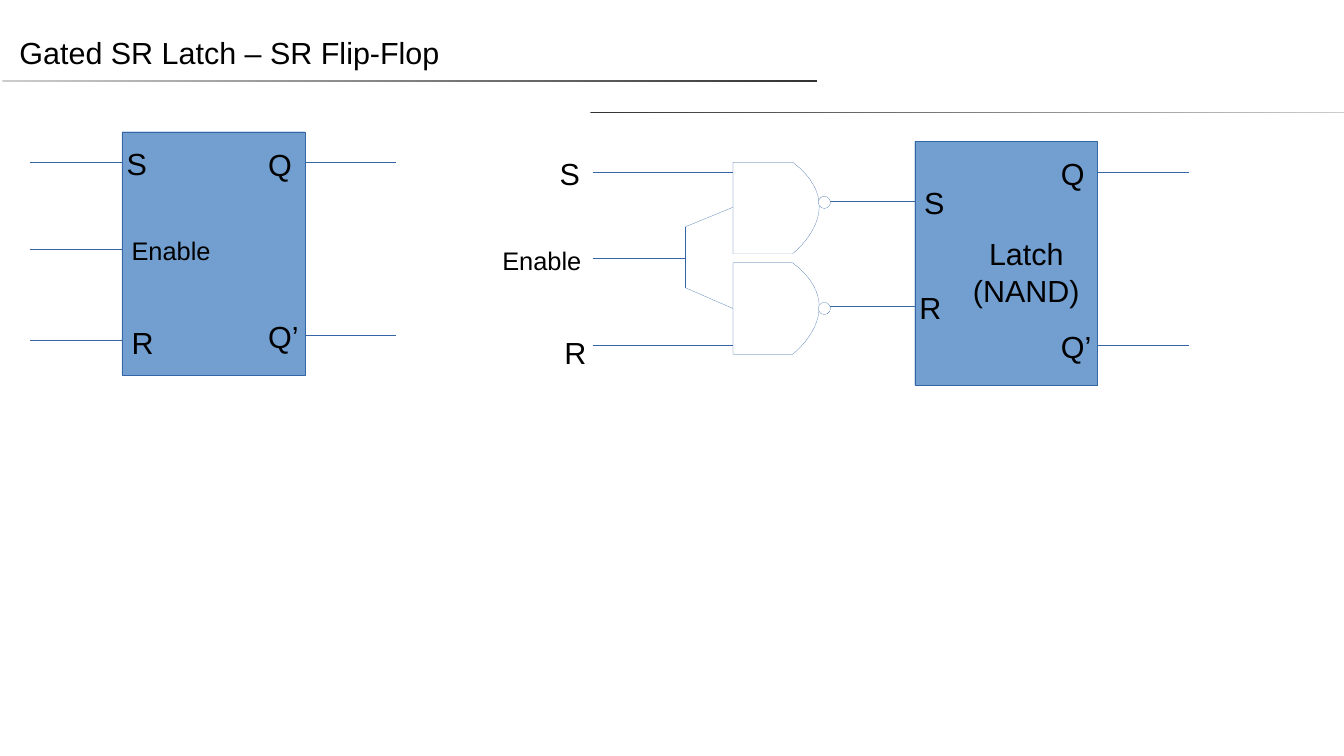
from dataclasses import dataclass

from lxml import etree
from pptx import Presentation
from pptx import util as u
from pptx.dml.color import RGBColor
from pptx.enum import shapes, text
from pptx.oxml.ns import qn

CELL = u.Inches(0.25)  # one column or row of the drawing grid


@dataclass(frozen=True)
class Theme:
    font: str = "Arial"
    ink: str = "000000"
    paper: str = "FFFFFF"
    block: str = "729FCF"
    wire: str = "3465A4"
    rule_dark: str = "333333"
    rule_light: str = "CCCCCC"
    large: int = 18
    small: int = 15
    hairline: float = 0.1


THEME = Theme()
BLOCK_COLS, BLOCK_ROWS = 6, 8
STUB_COLS = 3
TOP_PIN, MIDDLE_PIN, BOTTOM_PIN = 1, 3.84, 6.68
LABEL_COLS = {"Enable": 3.4, "S": 1.44, "R": 1.52, "Q": 1.56, "Q’": 1.8}


@dataclass(frozen=True)
class Box:
    """A region of the page whose parts are placed in grid cells."""
    page: object
    left: int
    top: int

    def at(self, col, row):
        return round(self.left + col * CELL), round(self.top + row * CELL)

    def inner(self, col, row):
        return Box(self.page, *self.at(col, row))


def color(code):
    return RGBColor.from_string(code)


def style_text(frame, size, align=text.PP_ALIGN.LEFT):
    for para in frame.paragraphs:
        para.alignment = align
        for span in para.runs:
            span.font.name = THEME.font
            span.font.size = u.Pt(size)
            span.font.color.rgb = color(THEME.ink)


def style_line(line):
    line.color.rgb = color(THEME.wire)
    line.width = u.Pt(THEME.hairline)


def add_wire(box, start, end):
    wire = box.page.shapes.add_connector(
        shapes.MSO_CONNECTOR.STRAIGHT, *box.at(*start), *box.at(*end))
    style_line(wire.line)
    etree.SubElement(wire._element.spPr, qn("a:effectLst"))


def add_solid(box, kind, col, row, cols, rows, fill):
    solid = box.page.shapes.add_shape(
        kind, *box.at(col, row), round(cols * CELL), round(rows * CELL))
    solid.shadow.inherit = False
    solid.fill.solid()
    solid.fill.fore_color.rgb = color(fill)
    style_line(solid.line)


def add_text(box, words, col, row, cols, rows, size, align=text.PP_ALIGN.LEFT):
    frame = box.page.shapes.add_textbox(
        *box.at(col, row), round(cols * CELL), round(rows * CELL)).text_frame
    frame.word_wrap = False
    frame.text = words
    style_text(frame, size, align)


def add_labels(box, labels):
    for words, col, row in labels:
        size, rows = (THEME.small, 1.32) if words == "Enable" else (THEME.large, 1.52)
        add_text(box, words, col, row, LABEL_COLS[words], rows, size)


def add_block(box):
    """Draw a block with its two outputs."""
    add_solid(box, shapes.MSO_SHAPE.RECTANGLE, 0, 0, BLOCK_COLS, BLOCK_ROWS, THEME.block)
    for row in (TOP_PIN, BOTTOM_PIN):
        add_wire(box, (BLOCK_COLS, row), (BLOCK_COLS + STUB_COLS, row))
    add_labels(box, [("Q", 4.4, 0.26), ("Q’", 4.4, 5.92)])


def add_gate(box):
    """Draw a D-shaped gate whose nose is a Bézier curve."""
    side, height, steps = 1.96, 3, 24
    nose = []
    for step in range(steps + 1):
        t = step / steps
        rise = 3 * (1 - t) ** 2 * t
        nose.append((side * (1 + rise),
                     height * (rise / 2 + 3 * (1 - t) * t ** 2 + t ** 3)))
    builder = box.page.shapes.build_freeform(*box.at(0, 0), scale=1.0)
    builder.add_line_segments([box.at(*point) for point in [*nose, (0, height)]], close=True)
    gate = builder.convert_to_shape()
    gate.shadow.inherit = False
    gate.fill.background()
    style_line(gate.line)


def draw_symbol(box):
    block = box.inner(STUB_COLS, 0)
    add_block(block)
    for row in (TOP_PIN, MIDDLE_PIN, 6.84):
        add_wire(block, (-STUB_COLS, row), (0, row))
    add_labels(block, [("S", -0.24, 0.24), ("Enable", -0.08, 3.2), ("R", -0.08, 6.12)])


def draw_circuit(box):
    wire_col, fork_col, gate_col, bubble_col, block_col = 3.44, 6.48, 8.04, 10.84, 14
    block = box.inner(block_col, 0)
    add_block(block)
    add_labels(block, [("S", -0.08, 1.2), ("R", -0.24, 4.64)])
    add_text(block, "Latch\n(NAND)", 1.16, 2.88, 5, 2.64,
             THEME.large, text.PP_ALIGN.CENTER)

    add_labels(box, [("S", 1.96, 0.24), ("Enable", 0.08, 3.2), ("R", 2.12, 6.12)])
    add_wire(box, (wire_col, MIDDLE_PIN), (fork_col, MIDDLE_PIN))
    fork_rows = (2.8, 4.8)
    add_wire(box, (fork_col, fork_rows[0]), (fork_col, fork_rows[1]))

    gates = zip((0.68, 3.98), (TOP_PIN, BOTTOM_PIN), fork_rows,
                (2.16, 5.48), (1.8, 5.28), (1.96, 5.4))
    for gate_row, input_row, fork_row, tip_row, bubble_row, output_row in gates:
        add_gate(box.inner(gate_col, gate_row))
        add_wire(box, (wire_col, input_row), (gate_col, input_row))
        add_wire(box, (fork_col, fork_row), (gate_col, tip_row))
        add_wire(box, (bubble_col + 0.2, output_row), (block_col, output_row))
        add_solid(box, shapes.MSO_SHAPE.OVAL, bubble_col, bubble_row, 0.4, 0.4, THEME.paper)


def add_rule(page, left, top, width, height, start, end):
    rule = page.shapes.add_shape(
        shapes.MSO_SHAPE.RECTANGLE, *map(u.Inches, (left, top, width, height)))
    rule.shadow.inherit = False
    rule.line.fill.background()
    rule.fill.gradient()
    rule.fill.gradient_angle = 0
    for stop, position, code in zip(rule.fill.gradient_stops, (0, 1), (start, end)):
        stop.position = position
        stop.color.rgb = color(code)


def draw_heading(page):
    add_rule(page, 0.02, 0.66, 6.68, 0.01, THEME.rule_light, THEME.rule_dark)
    add_rule(page, 4.84, 0.92, 6.18, 0.01, THEME.rule_dark, THEME.rule_light)
    title = page.shapes.title
    title.left, title.top, title.width, title.height = map(
        u.Inches, (0.16, 0.08, 10.42, 0.7))
    frame = title.text_frame
    frame.margin_left = frame.margin_right = frame.margin_top = frame.margin_bottom = 0
    frame.vertical_anchor = text.MSO_ANCHOR.MIDDLE
    frame.text = "Gated SR Latch – SR Flip-Flop"
    style_text(frame, THEME.large)


def main():
    deck = Presentation()
    deck.slide_width, deck.slide_height = u.Inches(11.02), u.Inches(6.2)
    page = deck.slides.add_slide(deck.slide_layouts.get_by_name("Title Only"))
    draw_heading(page)
    draw_symbol(Box(page, u.Inches(0.25), u.Inches(1.08)))
    draw_circuit(Box(page, u.Inches(4), u.Inches(1.16)))
    deck.save("out.pptx")


if __name__ == "__main__":
    main()
